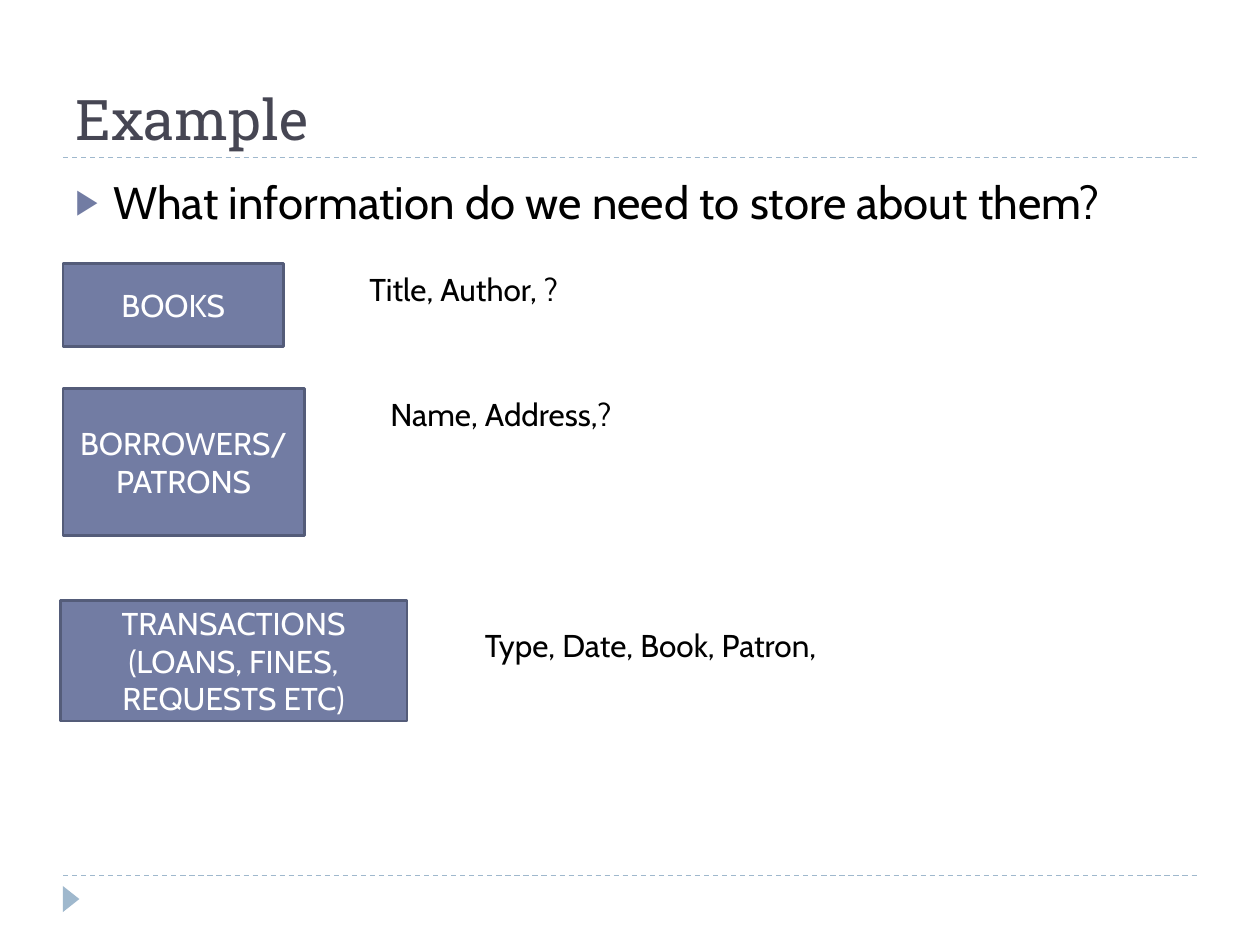
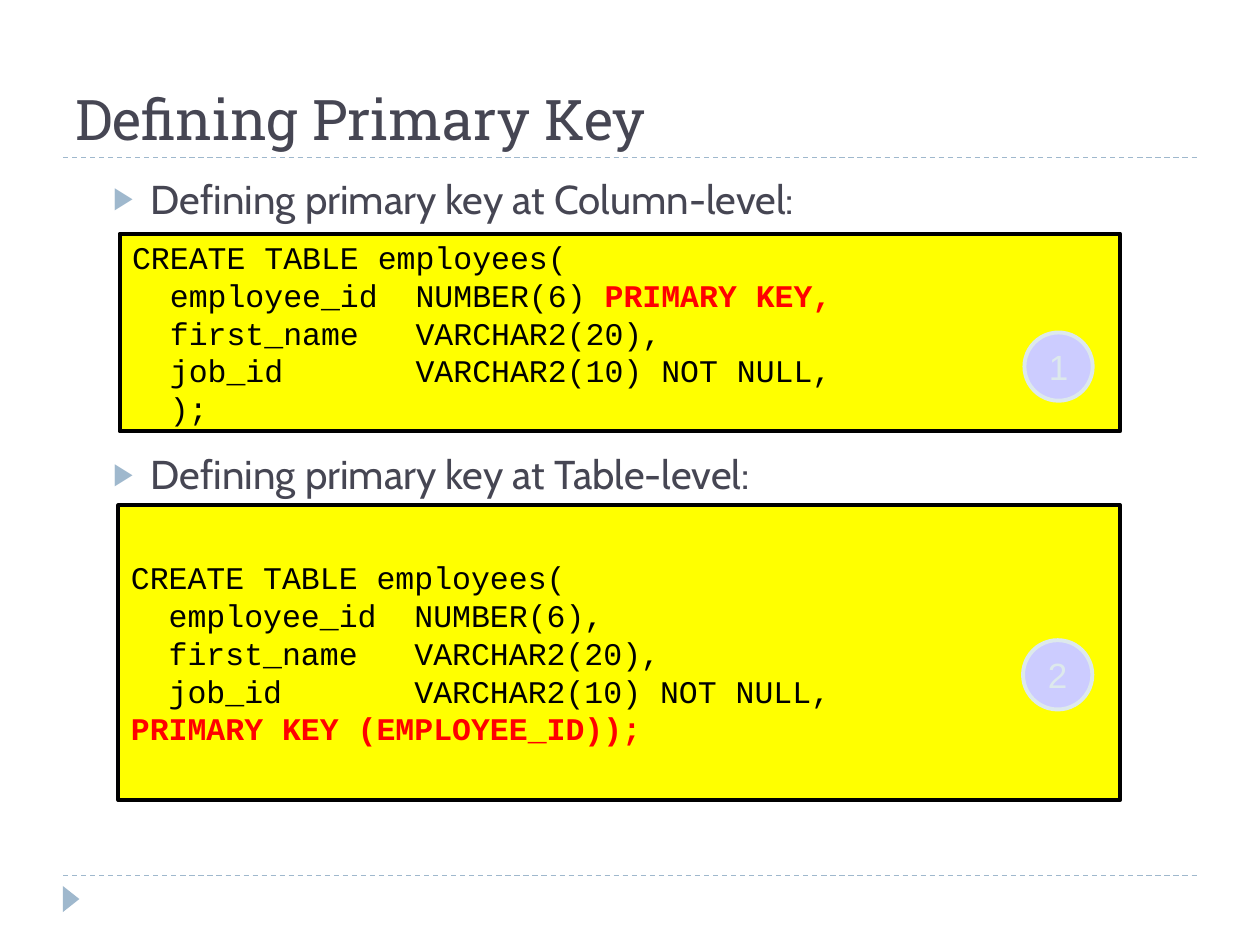
from lxml.etree import SubElement
from pptx import Presentation
from pptx.dml.color import RGBColor
from pptx.enum.dml import MSO_LINE
from pptx.enum.shapes import MSO_CONNECTOR, MSO_SHAPE
from pptx.enum.text import MSO_ANCHOR, PP_ALIGN
from pptx.oxml.ns import qn
from pptx.util import Pt

HEADING_FONT, BODY_FONT, CODE_FONT, NUMBER_FONT = "Roboto Slab", "Cabin", "Courier New", "Arial"
INK, SLATE, SLATE_DARK, PALE_BLUE = "464653", "727CA3", "545C79", "9FB8CD"
BLACK, WHITE, RED, YELLOW = "000000", "FFFFFF", "FF0000", "FFFF00"
LILAC, MIST = "CCCCFF", "DDE9EC"

LEFT, WIDTH = 36, 648
TITLE_TOP, TITLE_RULE, FOOTER_RULE = 12, 90, 500.4
BODY_AREA = (LEFT, 95.8, WIDTH, 388.8)
CODE_TABS = (21.6, 162)  # 2 and 15 characters of the code font

# Entity lines, box area, attribute text, attribute area
ENTITIES = [
    (["BOOKS"], (36, 150.5, 126, 47.5),
     "Title, Author, ?", (204, 150.5, 474, 29)),
    (["BORROWERS/", "PATRONS"], (36, 222, 138, 84),
     "Name, Address,?", (216, 222, 396, 30)),
    (["TRANSACTIONS", "(LOANS, FINES, REQUESTS ETC)"], (34.5, 343, 198, 69),
     "Type, Date, Book, Patron,", (270, 354, 396, 29)),
]

KEY_LEVELS = ["Defining primary key at Column-level:", "Defining primary key at Table-level:"]
SHARED_COLUMNS = ["\tfirst_name\tVARCHAR2(20),", "\tjob_id\tVARCHAR2(10) NOT NULL,"]
# Code lines, box area, badge area; a line is text or a list of (text, colour) runs
LISTINGS = [
    (["CREATE TABLE employees(",
      [("\temployee_id\tNUMBER(6) ", BLACK), ("PRIMARY KEY,", RED)],
      *SHARED_COLUMNS, "\t);"],
     (68.4, 133.5, 571.7, 113), (585.4, 190, 39, 39)),
    (["CREATE TABLE employees(", "\temployee_id\tNUMBER(6),",
      *SHARED_COLUMNS, [("PRIMARY KEY (EMPLOYEE_ID));", RED)]],
     (67.7, 288.7, 572.4, 168.5), (584.6, 365.8, 39.6, 39.6)),
]


def rgb(value):
    """Turn a hex string into a colour."""
    return RGBColor.from_string(value)


def points(area):
    """Turn plain numbers into point lengths."""
    return [Pt(number) for number in area]


def add_bullet(paragraph, colour, indent, hanging=21.6):
    """Give a paragraph a coloured triangle bullet with a hanging indent."""
    properties = paragraph._p.get_or_add_pPr()
    properties.set("marL", str(Pt(indent)))
    properties.set("indent", str(-Pt(hanging)))
    SubElement(SubElement(properties, qn("a:buClr")), qn("a:srgbClr"), val=colour)
    SubElement(properties, qn("a:buSzPct"), val="76000")
    SubElement(properties, qn("a:buFont"), typeface="Arial")
    SubElement(properties, qn("a:buChar"), char="▶")


def add_tabs(paragraph, stops):
    """Set left tab stops, given in points."""
    tab_list = SubElement(paragraph._p.get_or_add_pPr(), qn("a:tabLst"))
    for stop in stops:
        SubElement(tab_list, qn("a:tab"), pos=str(Pt(stop)), algn="l")


def write(shape, lines, font=BODY_FONT, size=18, colour=BLACK, align=PP_ALIGN.LEFT,
          anchor=MSO_ANCHOR.TOP, before=(), bullet=None, indent=21.6, tabs=()):
    """Write lines into a shape; coloured runs differing from the base are bold."""
    frame = shape.text_frame
    frame.word_wrap = True
    frame.vertical_anchor = anchor
    for index, line in enumerate(lines):
        paragraph = frame.add_paragraph() if index else frame.paragraphs[0]
        paragraph.alignment = align
        if before:
            paragraph.space_before = Pt(before[index])
        if bullet:
            add_bullet(paragraph, bullet, indent)
        if tabs:
            add_tabs(paragraph, tabs)
        for text, run_colour in [(line, colour)] if isinstance(line, str) else line:
            run = paragraph.add_run()
            run.text = text
            run.font.name = font
            run.font.size = Pt(size)
            run.font.bold = run_colour != colour
            run.font.color.rgb = rgb(run_colour)


def add_text(slide, area, lines, **style):
    """Add a text box."""
    write(slide.shapes.add_textbox(*points(area)), lines, **style)


def add_shape(slide, kind, area, fill, line=None, line_width=1.5):
    """Add a flat preset shape."""
    shape = slide.shapes.add_shape(kind, *points(area))
    shape.shadow.inherit = False
    shape.fill.solid()
    shape.fill.fore_color.rgb = rgb(fill)
    if line:
        shape.line.color.rgb = rgb(line)
        shape.line.width = Pt(line_width)
    else:
        shape.line.fill.background()
    return shape


def add_rule(slide, top):
    """Add a dashed rule across the content width."""
    rule = slide.shapes.add_connector(
        MSO_CONNECTOR.STRAIGHT, *points((LEFT, top, LEFT + WIDTH, top)))
    rule.line.color.rgb = rgb(PALE_BLUE)
    rule.line.width = Pt(0.75)
    rule.line.dash_style = MSO_LINE.DASH
    SubElement(rule._element.spPr, qn("a:effectLst"))


def add_slide(presentation, title):
    """Add a slide with the shared rules, footer marker and title."""
    slide = presentation.slides.add_slide(presentation.slide_layouts[6])
    for top in (FOOTER_RULE, TITLE_RULE):
        add_rule(slide, top)
    marker = add_shape(slide, MSO_SHAPE.ISOSCELES_TRIANGLE, (33.1, 509, 15, 9.5), PALE_BLUE)
    marker.rotation = 90
    add_text(slide, (LEFT, TITLE_TOP, WIDTH, TITLE_RULE - TITLE_TOP), [title],
             font=HEADING_FONT, size=32, colour=INK, anchor=MSO_ANCHOR.BOTTOM)
    return slide


def build_example(presentation):
    """Build the slide of entities and their attributes."""
    slide = add_slide(presentation, "Example")
    add_text(slide, BODY_AREA, ["What information do we need to store about them?"],
             size=26, before=[6], bullet=SLATE)
    for names, box_area, attributes, text_area in ENTITIES:
        box = add_shape(slide, MSO_SHAPE.RECTANGLE, box_area, SLATE, SLATE_DARK)
        write(box, names, colour=WHITE, align=PP_ALIGN.CENTER, anchor=MSO_ANCHOR.MIDDLE)
        add_text(slide, text_area, [attributes])


def build_primary_key(presentation):
    """Build the slide of numbered code listings."""
    slide = add_slide(presentation, "Defining Primary Key")
    add_text(slide, BODY_AREA, KEY_LEVELS, size=23, colour=INK,
             before=[5, 130], bullet=PALE_BLUE, indent=43.2)
    for number, (code, code_area, badge_area) in enumerate(LISTINGS, 1):
        panel = add_shape(slide, MSO_SHAPE.RECTANGLE, code_area, YELLOW, BLACK, 2.25)
        write(panel, code, font=CODE_FONT, anchor=MSO_ANCHOR.MIDDLE, tabs=CODE_TABS)
        badge = add_shape(slide, MSO_SHAPE.OVAL, badge_area, LILAC, MIST, 2.25)
        badge.text_frame.margin_left = badge.text_frame.margin_right = 0
        write(badge, [str(number)], font=NUMBER_FONT, size=20, colour=MIST,
              align=PP_ALIGN.CENTER, anchor=MSO_ANCHOR.MIDDLE)


def main():
    """Build and save the presentation."""
    presentation = Presentation()
    presentation.slide_width, presentation.slide_height = Pt(720), Pt(540)
    build_example(presentation)
    build_primary_key(presentation)
    presentation.save("out.pptx")


main()
